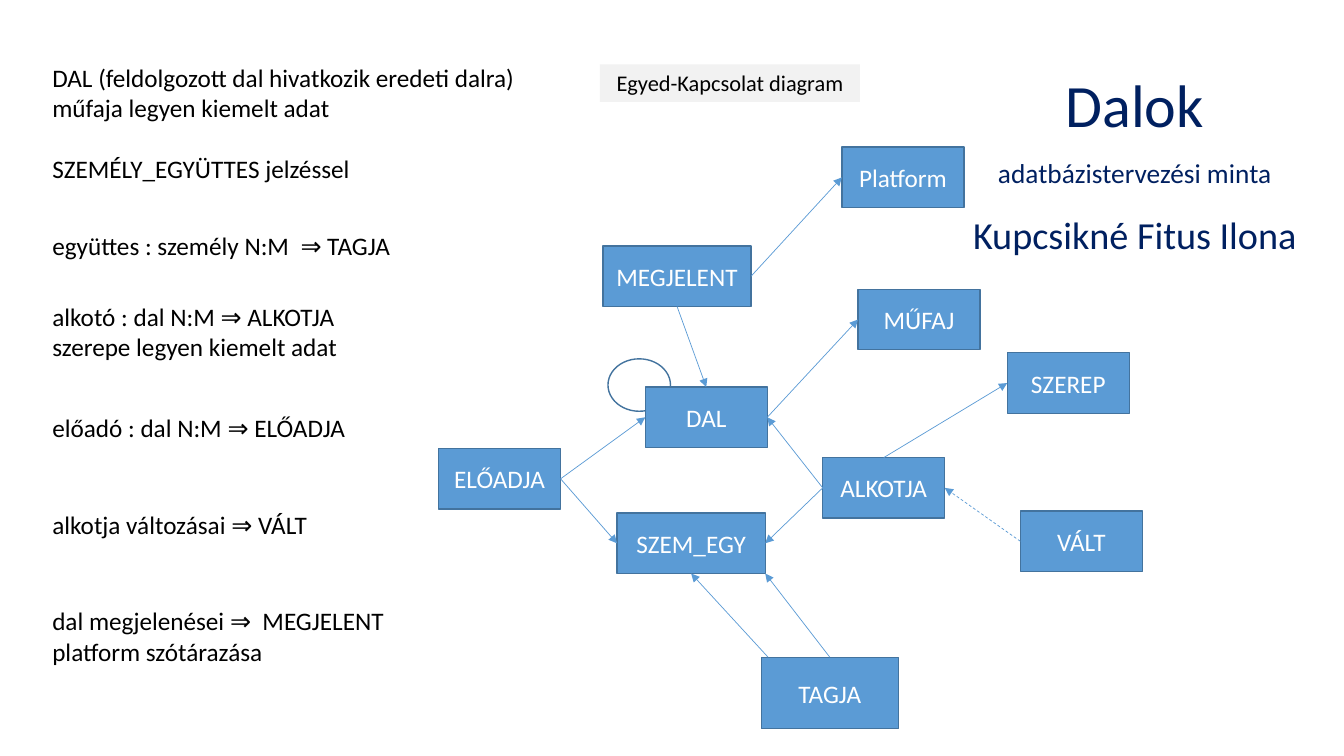
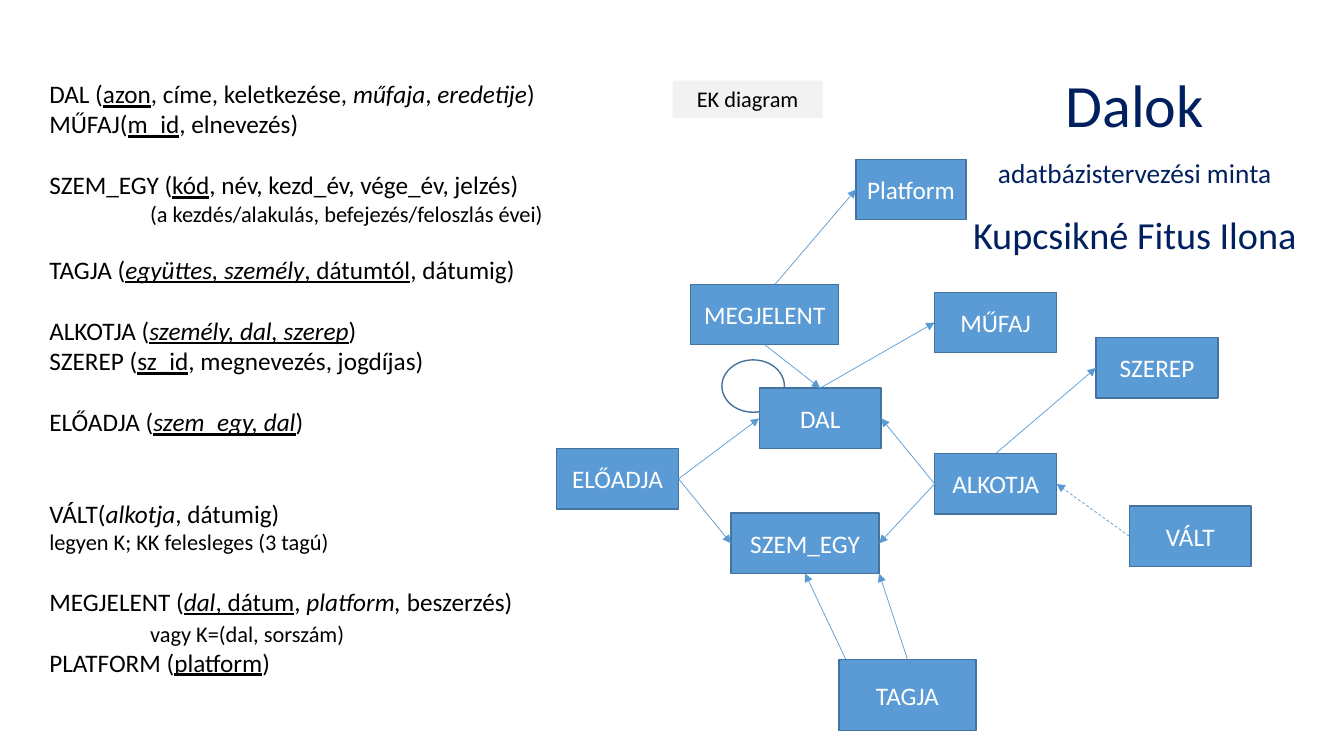
import pptx
import pptx.dml.color
import pptx.enum.dml
import pptx.enum.shapes
import pptx.enum.text
import pptx.oxml
import pptx.oxml.ns
import pptx.util
from dataclasses import dataclass

Inches = pptx.util.Inches
Pt = pptx.util.Pt
ALIGN = pptx.enum.text.PP_ALIGN
ANCHOR = pptx.enum.text.MSO_ANCHOR
SHAPE = pptx.enum.shapes.MSO_SHAPE

TOP, LEFT, BOTTOM, RIGHT = (0.5, 0), (0, 0.5), (0.5, 1), (1, 0.5)
SITES = [TOP, LEFT, BOTTOM, RIGHT]
BOTTOM_CORNER = (1, 1)
TOP_START = (0.05, 0)


@dataclass(frozen=True)
class Theme:
    font: str = "Calibri"
    ink: str = "000000"
    navy: str = "002060"
    entity: str = "5B9BD5"
    outline: str = "43739E"
    caption: str = "F2F2F2"
    white: str = "FFFFFF"
    body: float = 18
    small: float = 16
    heading: float = 42.9
    subject: float = 19.5
    author: float = 27.3


THEME = Theme()
HEADING = [
    ("Dalok", THEME.heading),
    ("adatbázistervezési minta", THEME.subject),
    ("Kupcsikné Fitus Ilona", THEME.author),
]
ENTITY_SIZE = (1.21, 0.6)
ENTITY_SIZES = {"SZEM_EGY": (1.47, 0.6), "MEGJELENT": (1.47, 0.6), "TAGJA": (1.36, 0.71)}
RELATIONS = [
    ("ELŐADJA", RIGHT, "DAL", LEFT),
    ("ELŐADJA", RIGHT, "SZEM_EGY", LEFT),
    ("ALKOTJA", LEFT, "DAL", RIGHT),
    ("ALKOTJA", LEFT, "SZEM_EGY", RIGHT),
    ("ALKOTJA", TOP, "SZEREP", LEFT),
    ("TAGJA", TOP, "SZEM_EGY", BOTTOM_CORNER),
    ("TAGJA", TOP_START, "SZEM_EGY", BOTTOM),
    ("MEGJELENT", BOTTOM, "DAL", TOP),
]


def rgb(value):
    """Return a colour from its hex text."""
    return pptx.dml.color.RGBColor.from_string(value)


def add_text(paragraph, text, size=THEME.body, color=THEME.ink, italic=False, underline=False):
    """Append one formatted run to a paragraph."""
    run = paragraph.add_run()
    run.text = text
    run.font.name = THEME.font
    run.font.size = Pt(size)
    run.font.color.rgb = rgb(color)
    run.font.italic = italic
    run.font.underline = underline


def next_paragraph(frame, index):
    """Return the first paragraph of a frame, or a new one."""
    return frame.add_paragraph() if index else frame.paragraphs[0]


class Deck:
    """Hold the presentation, its style and the current slide."""

    def __init__(self):
        """Start an empty widescreen presentation."""
        self.deck = pptx.Presentation()
        self.deck.slide_width = Inches(13.33)
        self.deck.slide_height = Inches(7.5)

    def start_slide(self):
        """Add a slide with the shared heading."""
        self.slide = self.deck.slides.add_slide(self.deck.slide_layouts[5])
        title = self.slide.shapes.title
        title.left, title.top = Inches(9.45), Inches(0.26)
        title.width, title.height = Inches(3.61), Inches(2.49)
        frame = title.text_frame
        frame.auto_size = pptx.enum.text.MSO_AUTO_SIZE.NONE
        frame.vertical_anchor = ANCHOR.TOP
        for index, (text, size) in enumerate(HEADING):
            paragraph = next_paragraph(frame, index)
            paragraph.alignment = ALIGN.CENTER
            paragraph.line_spacing = 1.5
            add_text(paragraph, text, size=size, color=THEME.navy)

    def notes(self, left, top, width, height, lines):
        """Write lines given as (runs, gap before, size, indent)."""
        box = self.slide.shapes.add_textbox(Inches(left), Inches(top), Inches(width), Inches(height))
        box.text_frame.word_wrap = True
        for index, (runs, gap, size, indent) in enumerate(lines):
            paragraph = next_paragraph(box.text_frame, index)
            paragraph.space_before = Pt(gap)
            if indent:
                paragraph._p.get_or_add_pPr().set("marL", str(Inches(indent)))
            for text, marks in runs:
                add_text(paragraph, text, size=size, italic="i" in marks, underline="u" in marks)

    def shape(self, kind, left, top, width, height, fill=None, line=None):
        """Add a flat preset shape."""
        shape = self.slide.shapes.add_shape(kind, Inches(left), Inches(top), Inches(width), Inches(height))
        shape.shadow.inherit = False
        if fill:
            shape.fill.solid()
            shape.fill.fore_color.rgb = rgb(fill)
        else:
            shape.fill.background()
        if line:
            shape.line.color.rgb = rgb(line)
            shape.line.width = Pt(1)
        else:
            shape.line.fill.background()
        return shape

    def box(self, text, left, top, width, height, size, color, anchor, fill, line=None):
        """Add a rectangle with a centred label."""
        box = self.shape(SHAPE.RECTANGLE, left, top, width, height, fill, line)
        box.text_frame.word_wrap = True
        box.text_frame.vertical_anchor = anchor
        paragraph = box.text_frame.paragraphs[0]
        paragraph.alignment = ALIGN.CENTER
        add_text(paragraph, text, size=size, color=color)
        return box

    def caption(self, text, left, top, width):
        """Add the grey diagram caption."""
        self.box(text, left, top, width, 0.37, THEME.small, THEME.ink, ANCHOR.TOP, THEME.caption)

    def arrow(self, source, start, target, end, dashed=False):
        """Draw an arrow between points on the edges of two entities."""
        points = [
            (int(box.left + box.width * across), int(box.top + box.height * down))
            for box, (across, down) in ((source, start), (target, end))
        ]
        arrow = self.slide.shapes.add_connector(
            pptx.enum.shapes.MSO_CONNECTOR.STRAIGHT, *points[0], *points[1])
        if start in SITES:
            arrow.begin_connect(source, SITES.index(start))
        if end in SITES:
            arrow.end_connect(target, SITES.index(end))
        arrow.line.color.rgb = rgb(THEME.entity)
        arrow.line.width = Pt(0.5)
        if dashed:
            arrow.line.dash_style = pptx.enum.dml.MSO_LINE.DASH
        qn = pptx.oxml.ns.qn
        properties = arrow._element.spPr
        head = properties.find(qn("a:ln")).makeelement(qn("a:tailEnd"), {"type": "triangle"})
        properties.find(qn("a:ln")).append(head)
        properties.append(properties.makeelement(qn("a:effectLst"), {}))

    def diagram(self, places, genre_start, platform_start, sizes=ENTITY_SIZES):
        """Draw the entities, the self-reference loop and the relations."""
        loop_left, loop_top = places["DAL"]
        self.shape(SHAPE.OVAL, loop_left - 0.37, loop_top - 0.28, 0.62, 0.52, line=THEME.outline)
        entities = {
            name: self.box(name, *place, *sizes.get(name, ENTITY_SIZE), THEME.body,
                           THEME.white, ANCHOR.MIDDLE, THEME.entity, THEME.outline)
            for name, place in places.items()
        }
        varying = [
            ("DAL", genre_start, "MŰFAJ", LEFT),
            ("MEGJELENT", platform_start, "Platform", LEFT),
        ]
        for source, start, target, end in RELATIONS + varying:
            self.arrow(entities[source], start, entities[target], end)
        self.arrow(entities["VÁLT"], LEFT, entities["ALKOTJA"], RIGHT, dashed=True)


def line(*runs, gap=0, size=THEME.body, indent=0):
    """Describe a line; a plain string is an unmarked run."""
    marked = [(run, "") if isinstance(run, str) else run for run in runs]
    return marked, gap, size, indent


def build_requirements(deck):
    """Build the slide with the requirements."""
    deck.start_slide()
    requirements = [
        (0.57, 1.62, [line("DAL (feldolgozott dal hivatkozik eredeti dalra)"),
                      line("műfaja legyen kiemelt adat"),
                      line("SZEMÉLY_EGYÜTTES jelzéssel", gap=22)]),
        (2.24, 0.71, [line("együttes : személy N:M  ⇒ TAGJA")]),
        (2.94, 1.01, [line("alkotó : dal N:M ⇒ ALKOTJA"), line("szerepe legyen kiemelt adat")]),
        (4.04, 0.71, [line("előadó : dal N:M ⇒ ELŐADJA")]),
        (5, 0.71, [line("alkotja változásai ⇒ VÁLT")]),
        (5.96, 0.71, [line("dal megjelenései ⇒  MEGJELENT"), line("platform szótárazása")]),
    ]
    for top, height, lines in requirements:
        deck.notes(0.42, top, 5.85, height, lines)
    deck.caption("Egyed-Kapcsolat diagram", 5.95, 0.64, 2.58)
    places = {
        "DAL": (6.4, 3.84), "SZEM_EGY": (6.12, 5.09), "MŰFAJ": (8.51, 2.87),
        "TAGJA": (7.55, 6.52), "ALKOTJA": (8.16, 4.54), "ELŐADJA": (4.35, 4.45),
        "VÁLT": (10.12, 5.07), "SZEREP": (9.99, 3.5), "MEGJELENT": (5.98, 2.44),
        "Platform": (8.35, 1.46),
    }
    deck.diagram(places, genre_start=RIGHT, platform_start=RIGHT)


def build_relations(deck):
    """Build the slide with the relational schema."""
    deck.start_slide()
    schema = [
        line("DAL (", ("azon", "u"), ", címe, keletkezése, ", ("műfaja", "i"), ", ",
             ("eredetije", "i"), ")"),
        line("MŰFAJ(", ("m_id", "u"), ", elnevezés)"),
        line("SZEM_EGY (", ("kód", "u"), ", név, kezd_év, vége_év, jelzés)", gap=22),
        line("(a kezdés/alakulás, befejezés/feloszlás évei)", size=THEME.small, indent=1),
        line("TAGJA (", ("együttes, személy", "iu"), (", dátumtól", "u"), ", dátumig)", gap=19.5),
        line("ALKOTJA (", ("személy, dal, szerep", "iu"), ")", gap=22),
        line("SZEREP (", ("sz_id", "u"), ", megnevezés, jogdíjas)"),
        line("ELŐADJA (", ("szem_egy, dal", "iu"), ")", gap=22),
        line("VÁLT(", ("alkotja", "i"), ", dátumig)", gap=44),
        line("legyen K; KK felesleges (3 tagú)", size=THEME.small),
        line("MEGJELENT (", ("dal", "iu"), (", dátum", "u"), ", ", ("platform, ", "i"),
             "beszerzés)", gap=22),
        line("vagy K=(dal, sorszám)", gap=2.5, size=THEME.small, indent=1),
        line("PLATFORM (", ("platform", "u"), ")"),
    ]
    deck.notes(0.39, 0.73, 6.81, 6.7, schema)
    deck.caption("EK diagram", 6.67, 0.8, 1.49)
    places = {
        "DAL": (7.53, 3.85), "SZEREP": (10.87, 3.35), "SZEM_EGY": (7.25, 5.09),
        "ALKOTJA": (9.27, 4.5), "ELŐADJA": (5.52, 4.45), "TAGJA": (8.32, 6.54),
        "MEGJELENT": (6.85, 2.82), "VÁLT": (11.2, 5.02), "MŰFAJ": (9.27, 2.9),
        "Platform": (8.49, 1.58),
    }
    deck.diagram(places, genre_start=TOP, platform_start=(0.57, 0),
                 sizes={**ENTITY_SIZES, "Platform": (1.09, 0.6)})


def main():
    """Build and save the presentation."""
    deck = Deck()
    build_requirements(deck)
    build_relations(deck)
    deck.deck.save("out.pptx")


if __name__ == "__main__":
    main()
